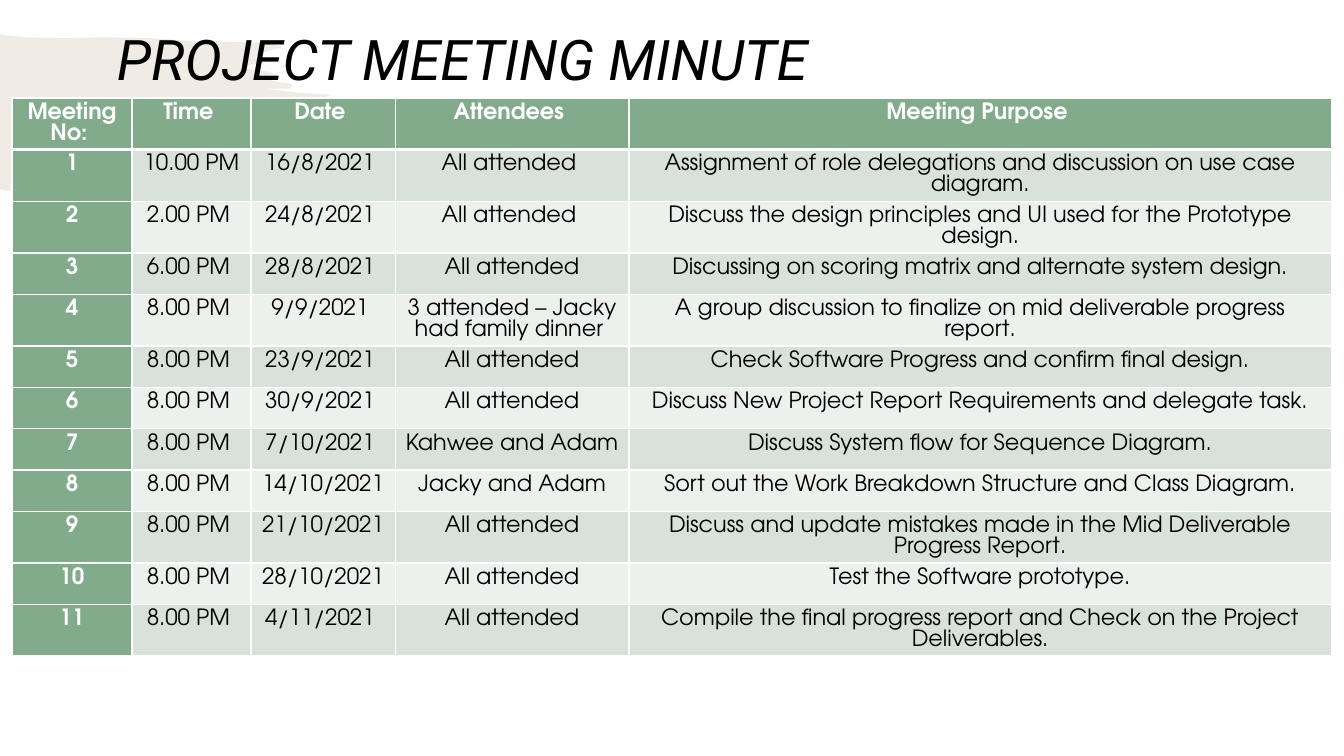
from lxml import etree
from pptx import Presentation
from pptx.dml.color import RGBColor
from pptx.enum.text import MSO_ANCHOR as Anchor, MSO_AUTO_SIZE as AutoSize, PP_ALIGN as Align
from pptx.oxml import parse_xml
from pptx.oxml.ns import nsdecls, qn
from pptx.util import Pt

WHITE = RGBColor(0xFF, 0xFF, 0xFF)
BLACK = RGBColor(0x00, 0x00, 0x00)
GREEN = RGBColor(0x82, 0xAB, 0x8C)
BAND_DARK = RGBColor(0xD8, 0xE2, 0xDA)
BAND_LIGHT = RGBColor(0xED, 0xF1, 0xEE)
SAND = RGBColor(0xB7, 0x9D, 0x7A)

TITLE_FONT = "Roboto"
TABLE_FONT = "TeX Gyre Adventor"

HEADERS = ["Meeting No: ", "Time ", "Date ", "Attendees ", "Meeting Purpose "]
MEETINGS = [
    ("10.00 PM ", "16/8/2021 ", "All attended ",
     "Assignment of role delegations and discussion on use case diagram."),
    ("2.00 PM ", "24/8/2021 ", "All attended ",
     "Discuss the design principles and UI used for the Prototype design."),
    ("6.00 PM ", "28/8/2021 ", "All attended",
     "Discussing on scoring matrix and alternate system design."),
    ("8.00 PM ", "9/9/2021 ", "3 attended – Jacky had family dinner ",
     "A group discussion to finalize on mid deliverable progress report."),
    ("8.00 PM ", "23/9/2021 ", "All attended",
     "Check Software Progress and confirm final design."),
    ("8.00 PM ", "30/9/2021 ", "All attended",
     "Discuss New Project Report Requirements and delegate task."),
    ("8.00 PM ", "7/10/2021 ", "Kahwee and Adam",
     "Discuss System flow for Sequence Diagram."),
    ("8.00 PM ", "14/10/2021 ", "Jacky and Adam",
     "Sort out the Work Breakdown Structure and Class Diagram."),
    ("8.00 PM ", "21/10/2021 ", "All attended",
     "Discuss and update mistakes made in the Mid Deliverable Progress Report."),
    ("8.00 PM ", "28/10/2021 ", "All attended", "Test the Software prototype."),
    ("8.00 PM ", "4/11/2021 ", "All attended",
     "Compile the final progress report and Check on the Project Deliverables."),
]
COLUMN_WIDTHS = [85.7, 85, 103, 167, 501.8]
ROW_HEIGHT = 29.5

# Brush outline in hundredths of an inch from the top left of its box
BRUSH_UNIT = 0.72
BRUSH_OUTLINE = [
    (0, 0), (6, 1), (25, 3), (66, 4), (102, 3), (151, 4), (194, 7), (248, 8),
    (266, 8.5), (280, 13), (271, 15), (255, 20), (253, 23), (256, 25), (262, 28),
    (238, 32), (246, 34), (256, 36), (266, 37), (275, 40), (251, 41), (263, 44),
    (273, 47), (280, 48), (288, 49), (290, 51), (287, 54), (284, 54), (263, 54),
    (296, 58), (330, 60), (321, 63), (318, 72), (307, 77), (300, 79), (283, 82),
    (280, 86), (278, 91), (274, 94), (308, 94), (269, 104), (273, 108),
    (252, 114), (263, 114), (197, 138), (102, 154), (65, 157), (23, 156),
    (7, 155), (0, 154),
]


def write_text(frame, text, font, size, color, align, bold=False, italic=False, spacing=None):
    para = frame.paragraphs[0]
    para.alignment = align
    if spacing:
        para.line_spacing = spacing
    span = para.add_run()
    span.text = text
    span.font.name = font
    span.font.size = Pt(size)
    span.font.color.rgb = color
    span.font.bold = bold
    span.font.italic = italic


def set_borders(cell, top=1, bottom=1):
    """Draw white borders; they must precede the fill in the cell properties."""
    properties = cell._tc.get_or_add_tcPr()
    widths = {"lnL": 1, "lnR": 1, "lnT": top, "lnB": bottom}
    for index, (tag, width) in enumerate(widths.items()):
        properties.insert(index, parse_xml(
            f'<a:{tag} {nsdecls("a")} w="{Pt(width)}"><a:solidFill>'
            f'<a:srgbClr val="{WHITE}"/></a:solidFill></a:{tag}>'))


def add_brush(page, left, top):
    builder = page.shapes.build_freeform(*BRUSH_OUTLINE[0], scale=Pt(BRUSH_UNIT))
    builder.add_line_segments(BRUSH_OUTLINE[1:], close=True)
    brush = builder.convert_to_shape(Pt(left), Pt(top))
    brush.shadow.inherit = False
    brush.line.fill.background()
    brush.fill.solid()
    brush.fill.fore_color.rgb = SAND
    color = brush.element.spPr.find(".//" + qn("a:srgbClr"))
    etree.SubElement(color, qn("a:alpha")).set("val", "20000")


def add_meeting_table(page, left, top):
    rows = [HEADERS] + [(str(number), *meeting) for number, meeting in enumerate(MEETINGS, 1)]
    table = page.shapes.add_table(
        len(rows), len(HEADERS), Pt(left), Pt(top),
        Pt(sum(COLUMN_WIDTHS)), Pt(ROW_HEIGHT * len(rows))).table
    for column, width in zip(table.columns, COLUMN_WIDTHS):
        column.width = Pt(width)
    for row_index, texts in enumerate(rows):
        table.rows[row_index].height = Pt(ROW_HEIGHT)
        band = BAND_DARK if row_index % 2 else BAND_LIGHT
        for column_index, text in enumerate(texts):
            cell = table.cell(row_index, column_index)
            heading = row_index == 0 or column_index == 0
            cell.fill.solid()
            cell.fill.fore_color.rgb = GREEN if heading else band
            set_borders(cell, top=3 if row_index == 1 else 1,
                        bottom=3 if row_index == 0 else 1)
            write_text(cell.text_frame, text, TABLE_FONT, 16,
                       WHITE if heading else BLACK, Align.CENTER, bold=heading)


def place_title(page, text, left, top, width, height):
    title = page.shapes.title
    title.left, title.top, title.width, title.height = map(Pt, (left, top, width, height))
    frame = title.text_frame
    frame.word_wrap = True
    frame.auto_size = AutoSize.NONE
    frame.vertical_anchor = Anchor.MIDDLE
    write_text(frame, text, TITLE_FONT, 40, BLACK, Align.LEFT, italic=True, spacing=0.9)
    title.element.getparent().append(title.element)  # in front of the table


def main():
    deck = Presentation()
    deck.slide_width, deck.slide_height = Pt(960), Pt(540)
    page = deck.slides.add_slide(deck.slide_layouts[5])
    add_brush(page, 0, 24.5)
    add_meeting_table(page, 8.6, 70)
    place_title(page, "PROJECT MEETING MINUTE", 76.3, 0, 808, 88.5)
    deck.save("out.pptx")


if __name__ == "__main__":
    main()
